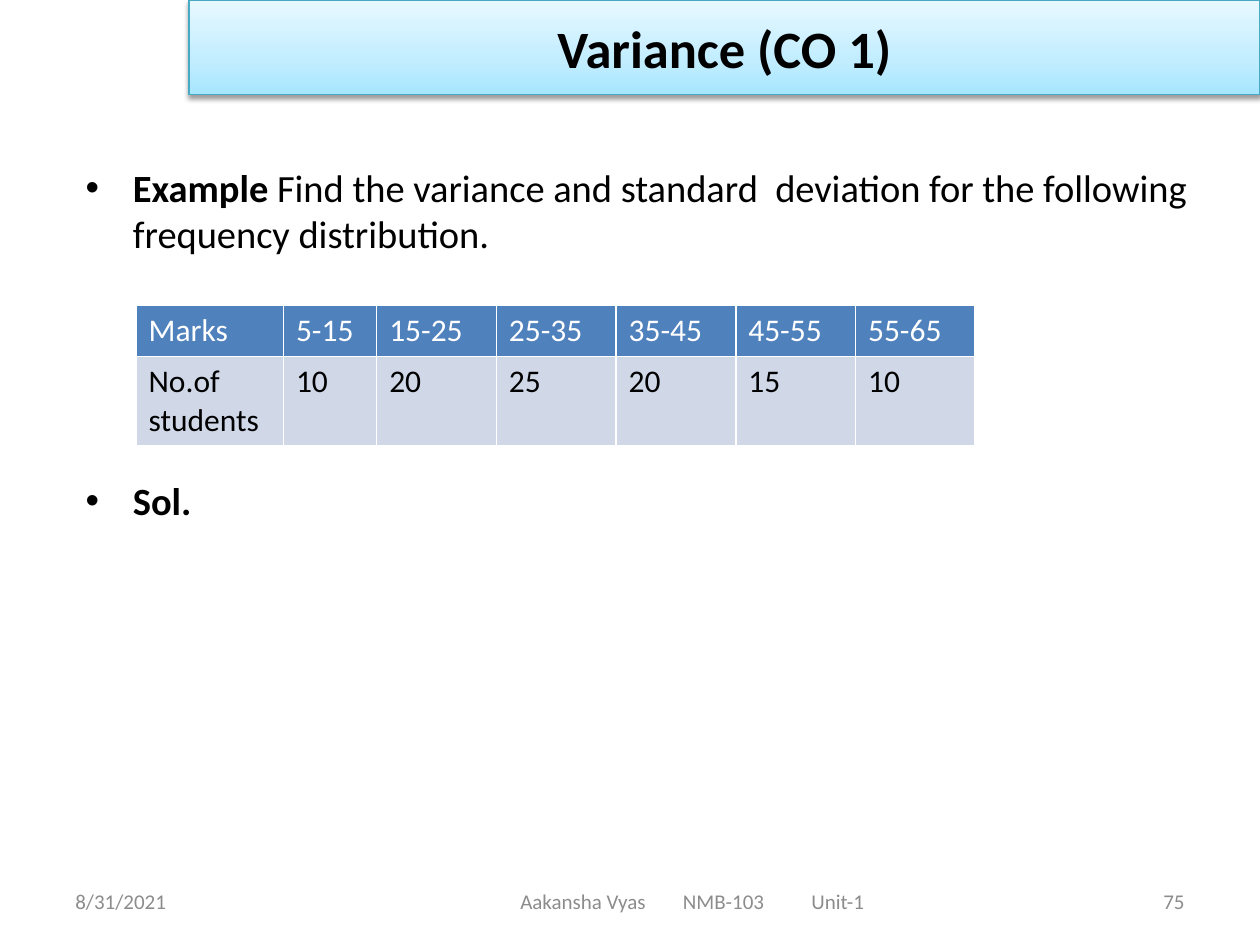
import copy
from dataclasses import dataclass

import pptx
import pptx.dml.color
import pptx.enum.text
import pptx.oxml
import pptx.oxml.ns
import pptx.util
from pptx.util import Inches

Pt = pptx.util.Pt
rgb = pptx.dml.color.RGBColor.from_string
qn = pptx.oxml.ns.qn
ALIGN = pptx.enum.text.PP_ALIGN
MIDDLE = pptx.enum.text.MSO_ANCHOR.MIDDLE
NAMESPACE = pptx.oxml.ns.nsdecls("a")


@dataclass(frozen=True)
class Theme:
    font: str = "Calibri"
    text: str = "000000"
    white: str = "FFFFFF"
    footer: str = "8C8C8C"
    header_fill: str = "4F81BD"
    row_fill: str = "D0D8E8"
    title_line: str = "46AAC5"
    title_stops: tuple = ((0, "A7E6FF"), (0.35, "C1EDFF"), (1, "E7F8FF"))
    title_size: int = 30
    body_size: int = 22
    table_size: int = 18
    footer_size: int = 12


theme = Theme()


def add_span(para, text, size, color, bold=False):
    span = para.add_run()
    span.text = text
    span.font.name = theme.font
    span.font.size = Pt(size)
    span.font.bold = bold
    span.font.color.rgb = rgb(color)


def place(box, left, top, width, height):
    box.left, box.top = Inches(left), Inches(top)
    box.width, box.height = Inches(width), Inches(height)
    box.text_frame.word_wrap = True
    box.text_frame.auto_size = pptx.enum.text.MSO_AUTO_SIZE.NONE


deck = pptx.Presentation()
deck.slide_width, deck.slide_height = Inches(10), Inches(7.5)
page = deck.slides.add_slide(deck.slide_layouts[1])

# Title banner with a three-stop gradient and a soft shadow
title = page.shapes.title
place(title, 1.5, 0, 8.5, 0.75)
title.text_frame.vertical_anchor = MIDDLE
title.fill.gradient()
title.fill.gradient_angle = 90
stop_list = title.element.spPr.find(".//" + qn("a:gsLst"))
stop_list.append(copy.deepcopy(stop_list[0]))
for stop, (position, color) in zip(title.fill.gradient_stops, theme.title_stops):
    stop.position = position
    stop.color.rgb = rgb(color)
title.line.color.rgb = rgb(theme.title_line)
title.line.width = Pt(0.75)
title.element.spPr.append(pptx.oxml.parse_xml(
    f'<a:effectLst {NAMESPACE}><a:outerShdw blurRad="{Pt(3.1)}" dist="{Pt(1.6)}" '
    'dir="5400000" rotWithShape="0"><a:srgbClr val="000000"><a:alpha val="38000"/>'
    '</a:srgbClr></a:outerShdw></a:effectLst>'))
para = title.text_frame.paragraphs[0]
para.alignment = ALIGN.CENTER
add_span(para, "Variance (CO 1)", theme.title_size, theme.text, bold=True)

# Problem and solution bullets, with room for the table between them
body = page.placeholders[1]
place(body, 0.58, 1.25, 9, 4.95)
para = body.text_frame.paragraphs[0]
para.space_before = Pt(0)
add_span(para, "Example", theme.body_size, theme.text, bold=True)
add_span(para, " Find the variance and standard  deviation for the following "
         "frequency distribution.", theme.body_size, theme.text)
para = body.text_frame.add_paragraph()
para.space_before = Pt(126)
add_span(para, "Sol.", theme.body_size, theme.text, bold=True)

# Frequency table
rows = [
    ["Marks", "5-15", "15-25", "25-35", "35-45", "45-55", "55-65"],
    ["No.of students", "10", "20", "25", "20", "15", "10"],
]
row_styles = [(0.41, theme.header_fill, theme.white), (0.7, theme.row_fill, theme.text)]
column_widths = [1.17, 0.74] + [0.95] * 5
table = page.shapes.add_table(len(rows), len(column_widths), Inches(1.08), Inches(2.42),
                              Inches(sum(column_widths)), Inches(1.11)).table
for column, width in zip(table.columns, column_widths):
    column.width = Inches(width)
for row, texts, (height, fill, color) in zip(table.rows, rows, row_styles):
    row.height = Inches(height)
    for cell, text in zip(row.cells, texts):
        add_span(cell.text_frame.paragraphs[0], text, theme.table_size, color)
        properties = cell._tc.get_or_add_tcPr()
        for side in "LRTB":
            properties.append(pptx.oxml.parse_xml(
                f'<a:ln{side} {NAMESPACE} w="{Pt(1)}"><a:solidFill>'
                f'<a:srgbClr val="{theme.white}"/></a:solidFill></a:ln{side}>'))
        cell.fill.solid()
        cell.fill.fore_color.rgb = rgb(fill)

# Footer: date, course line set on tab stops, page number
footers = [
    (0.5, 2.33, 0.1, ALIGN.LEFT, "8/31/2021", []),
    (2.75, 5.5, 1.38, ALIGN.LEFT, "Aakansha Vyas\tNMB-103\tUnit-1", [1.29, 2.31]),
    (7.17, 2.33, 0.1, ALIGN.RIGHT, "75", []),
]
for left, width, inset, alignment, text, tabs in footers:
    box = page.shapes.add_textbox(0, 0, 0, 0)
    place(box, left, 6.95, width, 0.4)
    box.text_frame.vertical_anchor = MIDDLE
    box.text_frame.margin_left = Inches(inset)
    para = box.text_frame.paragraphs[0]
    para.alignment = alignment
    if tabs:
        stops = "".join(f'<a:tab pos="{Inches(tab)}" algn="l"/>' for tab in tabs)
        para._p.get_or_add_pPr().append(
            pptx.oxml.parse_xml(f"<a:tabLst {NAMESPACE}>{stops}</a:tabLst>"))
    add_span(para, text, theme.footer_size, theme.footer)

deck.save("out.pptx")
